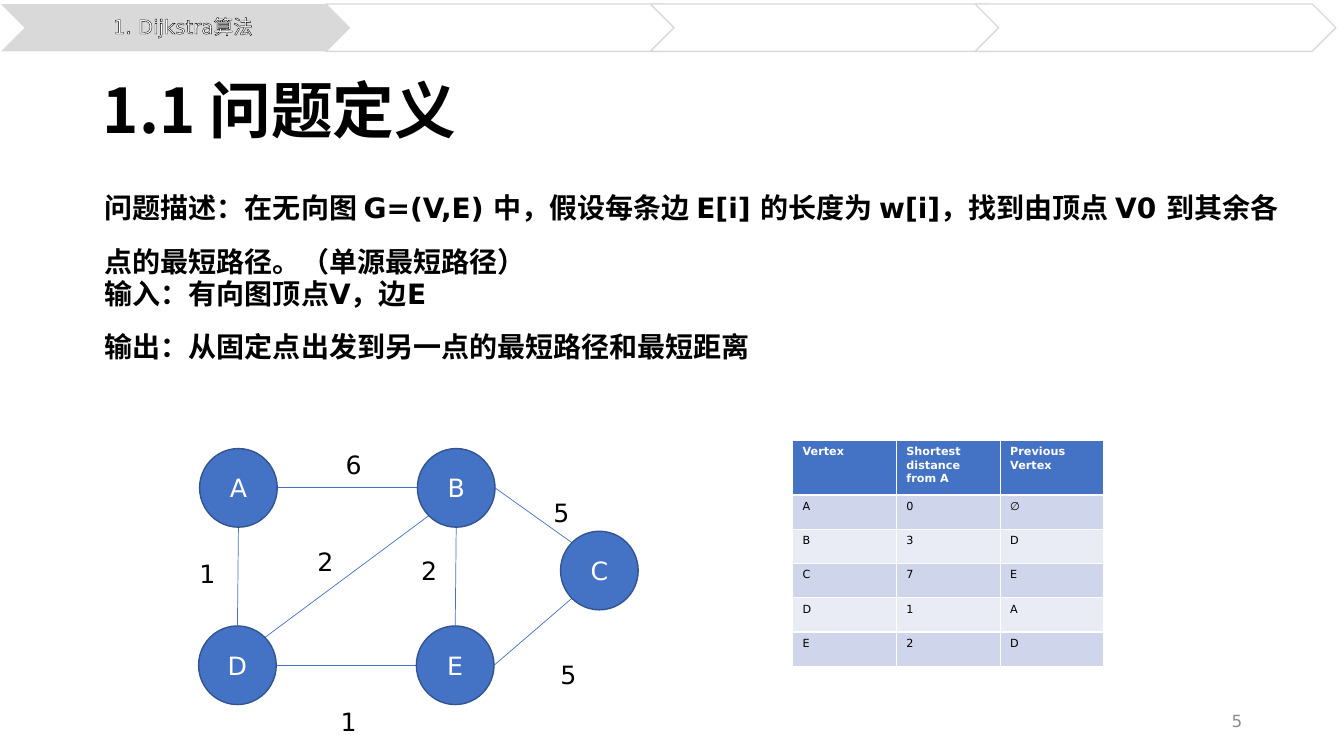
from lxml.etree import SubElement
from pptx import Presentation
from pptx.dml.color import RGBColor
from pptx.enum.shapes import MSO_CONNECTOR, MSO_SHAPE
from pptx.enum.text import MSO_ANCHOR, PP_ALIGN
from pptx.oxml import parse_xml
from pptx.oxml.ns import nsdecls, qn
from pptx.util import Emu, Pt

PX = 9144
LATIN, CHINESE = "DejaVu Sans", "Noto Sans CJK SC"
BLACK, WHITE, BLUE, GRAY = "000000", "FFFFFF", "4472C4", "D9D9D9"

TITLE = "1.1 问题定义"
SECTION = "1. Dijkstra算法"
PAGE = "5"
BODY = [
    (164, ["问题描述：在无向图 G=(V,E) 中，假设每条边 E[i] 的长度为 w[i]，"
           "找到由顶点 V0 到其余各点的最短路径。（单源最短路径）"]),
    (249, ["输入：有向图顶点V，边E", "输出：从固定点出发到另一点的最短路径和最短距离"]),
]
NODES = {"A": (198, 445), "B": (414, 445), "C": (556, 527), "D": (197, 621), "E": (413, 621)}
NODE_SIZE = (77, 78)
EDGES = [
    ("A", "right", "B", "left"),
    ("D", "right", "E", "left"),
    ("B", "right", "C", "top left"),
    ("E", "right", "C", "bottom left"),
    ("A", "bottom", "D", "top"),
    ("D", "top right", "B", "bottom left"),
    ("E", "top", "B", "bottom"),
]
WEIGHTS = [("1", 188, 549), ("6", 333, 441), ("5", 539, 488), ("1", 328, 696),
           ("5", 546, 649), ("2", 305, 537), ("2", 408, 546)]
TABLE = [
    ("Vertex", "Shortest distance from A", "Previous Vertex"),
    ("A", "0", "∅"),
    ("B", "3", "D"),
    ("C", "7", "E"),
    ("D", "1", "A"),
    ("E", "2", "D"),
]
COLUMN_WIDTH, HEADER_HEIGHT, ROW_HEIGHT = 103, 54, 34
CHEVRON_COUNT, CHEVRON_PITCH = 4, 322


def px(*lengths):
    return [Emu(round(length * PX)) for length in lengths]


def color(value):
    return RGBColor.from_string(value)


def write(frame, lines, size, ink=BLACK, bold=False, align=PP_ALIGN.LEFT, spacing=1.0, latin=LATIN):
    frame.word_wrap = True
    frame.text = "\n".join(lines)
    for paragraph in frame.paragraphs:
        paragraph.alignment = align
        paragraph.line_spacing = spacing
        font = paragraph.font
        font.size, font.bold, font.name = Pt(size), bold, latin
        font.color.rgb = color(ink)
        properties = paragraph._p.pPr.find(qn("a:defRPr"))
        SubElement(properties, qn("a:ea")).set("typeface", CHINESE)


def add_text(slide, box, lines, size, anchor=MSO_ANCHOR.TOP, **style):
    frame = slide.shapes.add_textbox(*px(*box)).text_frame
    frame.vertical_anchor = anchor
    write(frame, lines, size, **style)
    return frame


def add_filled(slide, kind, box, fill, line):
    shape = slide.shapes.add_shape(kind, *px(*box))
    shape.shadow.inherit = False
    shape.fill.solid()
    shape.fill.fore_color.rgb = color(fill)
    shape.line.color.rgb = color(line)
    shape.line.width = Pt(1)
    return shape


def rim_point(node, side):
    x = ("right" in side) - ("left" in side)
    y = ("bottom" in side) - ("top" in side)
    reach = 0.5 / (x * x + y * y) ** 0.5
    left, top = NODES[node]
    width, height = NODE_SIZE
    return left + width * (0.5 + x * reach), top + height * (0.5 + y * reach)


def add_graph(slide):
    for start, start_side, end, end_side in EDGES:
        points = px(*rim_point(start, start_side), *rim_point(end, end_side))
        edge = slide.shapes.add_connector(MSO_CONNECTOR.STRAIGHT, *points)
        edge.line.color.rgb = color(BLUE)
        edge.line.width = Pt(0.5)
        SubElement(edge._element.spPr, qn("a:effectLst"))
    for name, corner in NODES.items():
        node = add_filled(slide, MSO_SHAPE.OVAL, (*corner, *NODE_SIZE), BLUE, "325491")
        node.text_frame.vertical_anchor = MSO_ANCHOR.MIDDLE
        write(node.text_frame, [name], 18, WHITE, align=PP_ALIGN.CENTER)
    for weight, left, top in WEIGHTS:
        add_text(slide, (left, top, 44, 49), [weight], 18)


def add_distances(slide):
    columns = len(TABLE[0])
    height = HEADER_HEIGHT + ROW_HEIGHT * (len(TABLE) - 1)
    box = px(786, 437, COLUMN_WIDTH * columns, height)
    table = slide.shapes.add_table(len(TABLE), columns, *box).table
    for column in table.columns:
        column.width = px(COLUMN_WIDTH)[0]
    for index, values in enumerate(TABLE):
        header = index == 0
        table.rows[index].height = px(HEADER_HEIGHT if header else ROW_HEIGHT)[0]
        fill = BLUE if header else ("E9EBF5", "CFD5EA")[index % 2]
        for cell, value in zip(table.rows[index].cells, values):
            cell.fill.solid()
            cell.fill.fore_color.rgb = color(fill)
            write(cell.text_frame, [value], 8, WHITE if header else BLACK, bold=header)


def add_progress(slide):
    for index in range(CHEVRON_COUNT):
        fill = GRAY if index == 0 else WHITE
        box = (1 + CHEVRON_PITCH * index, 4, 358, 47)
        chevron = add_filled(slide, MSO_SHAPE.CHEVRON, box, fill, GRAY)
        if index == 0:
            chevron.line.fill.background()
    frame = add_text(slide, (24, 4, 311, 47), [SECTION], 14, MSO_ANCHOR.MIDDLE,
                     ink=WHITE, align=PP_ALIGN.CENTER, spacing=0.9)
    frame.margin_left, frame.margin_top, frame.margin_right, frame.margin_bottom = px(6, 2, 2, 2)
    outline = parse_xml(f'<a:ln {nsdecls("a")} w="9525"><a:solidFill>'
                        f'<a:srgbClr val="{BLACK}"/></a:solidFill></a:ln>')
    frame.paragraphs[0]._p.pPr.find(qn("a:defRPr")).insert(0, outline)


def main():
    presentation = Presentation()
    presentation.slide_width, presentation.slide_height = px(1333, 750)
    slide = presentation.slides.add_slide(presentation.slide_layouts[5])
    title = slide.shapes.title
    title.left, title.top, title.width, title.height = px(92, 40, 1150, 145)
    title.text_frame.vertical_anchor = MSO_ANCHOR.MIDDLE
    write(title.text_frame, [TITLE], 44, bold=True, spacing=0.9, latin=CHINESE)
    for top, lines in BODY:
        add_text(slide, (94, top, 1193, 123), lines, 20, bold=True, spacing=1.6)
    add_graph(slide)
    add_distances(slide)
    add_progress(slide)
    add_text(slide, (942, 695, 300, 40), [PAGE], 12, MSO_ANCHOR.MIDDLE,
             ink="8C8C8C", align=PP_ALIGN.RIGHT)
    presentation.save("out.pptx")


if __name__ == "__main__":
    main()
